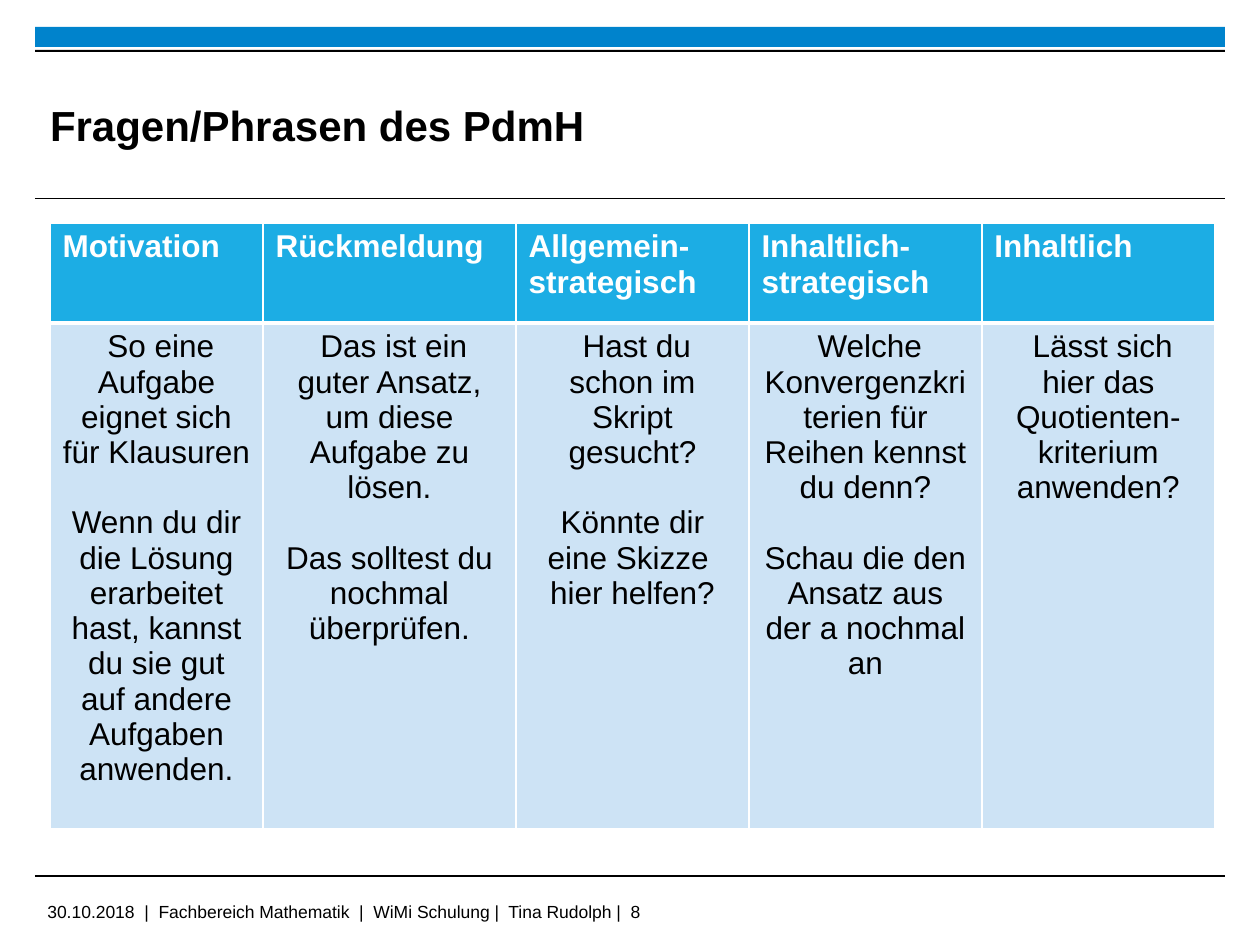
from lxml import etree
from pptx import Presentation, util as u
from pptx.dml.color import RGBColor
from pptx.enum import shapes, text
from pptx.oxml.ns import qn

SCALE = 914400 / 126
BLACK, WHITE, BLUE, HEADER, CELL = "000000", "FFFFFF", "0083CC", "1CADE4", "CDE3F5"
COLUMNS = [
    ("Motivation", 213, [
        " So eine Aufgabe eignet sich für Klausuren",
        "Wenn du dir die Lösung erarbeitet hast, kannst du sie gut auf andere "
        "Aufgaben anwenden."]),
    ("Rückmeldung", 253, [
        " Das ist ein guter Ansatz, um diese Aufgabe zu lösen.",
        "Das solltest du nochmal überprüfen."]),
    ("Allgemein-strategisch", 233, [
        " Hast du schon im Skript gesucht?",
        "Könnte dir eine Skizze  hier helfen?"]),
    ("Inhaltlich-strategisch", 233, [
        " Welche Konvergenzkriterien für Reihen kennst du denn?",
        "Schau die den Ansatz aus der a nochmal an"]),
    ("Inhaltlich", 233, [" Lässt sich hier das Quotienten-kriterium anwenden?"]),
]


def px(length):
    return u.Emu(round(length * SCALE))


def rgb(value):
    return RGBColor.from_string(value)


def apply(target, values):
    for name, value in values.items():
        setattr(target, name, value)


def write(frame, lines, size, color=BLACK, bold=False, para_format=None, gap=0):
    for index, line in enumerate(lines):
        para = frame.paragraphs[0] if index == 0 else frame.add_paragraph()
        apply(para, para_format or {})
        if index:
            para.space_before = u.Pt(gap)
        span = para.add_run()
        span.text = line
        apply(span.font, {"name": "Arial", "size": u.Pt(size), "bold": bold})
        span.font.color.rgb = rgb(color)


def add_text(page, box, line, size, bold=False, frame_format=None):
    frame = page.shapes.add_textbox(*map(px, box)).text_frame
    apply(frame, {"word_wrap": True, "vertical_anchor": text.MSO_ANCHOR.MIDDLE,
                  **(frame_format or {})})
    write(frame, [line], size, bold=bold)


def add_bar(page, box, color):
    bar = page.shapes.add_shape(shapes.MSO_SHAPE.RECTANGLE, *map(px, box))
    bar.shadow.inherit = False
    bar.fill.solid()
    bar.fill.fore_color.rgb = rgb(color)
    bar.line.fill.background()


def add_rule(page, left, top, width):
    rule = page.shapes.add_connector(shapes.MSO_CONNECTOR.STRAIGHT,
                                     px(left), px(top), px(left + width), px(top))
    rule.line.width = u.Pt(0.6)
    rule.line.color.rgb = rgb(BLACK)
    etree.SubElement(rule._element.spPr, qn("a:effectLst"))


def set_borders(cell, widths):
    props = cell._tc.get_or_add_tcPr()
    for index, (side, width) in enumerate(widths.items()):
        line = etree.Element(qn(f"a:ln{side}"), w=str(u.Pt(width)))
        fill = etree.SubElement(line, qn("a:solidFill"))
        etree.SubElement(fill, qn("a:srgbClr"), val=WHITE)
        props.insert(index, line)


def build_header(page, left, top, width):
    # Coloured band, title and rule below
    add_bar(page, (left, top, width, 20), BLUE)
    add_bar(page, (left, top + 23, width, 2), BLACK)
    margins = {f"margin_{side}": 0 for side in ("left", "top", "right", "bottom")}
    add_text(page, (left + 15, top + 40, 915, 116), "Fragen/Phrasen des PdmH", 24,
             True, margins)
    add_rule(page, left, top + 172, width)


def build_table(page, left, top, head_height, body_height):
    width = sum(column[1] for column in COLUMNS)
    table = page.shapes.add_table(2, len(COLUMNS), px(left), px(top), px(width),
                                  px(head_height + body_height)).table
    table.horz_banding = False
    for row, height in zip(table.rows, (head_height, body_height)):
        row.height = px(height)
    centred = {"alignment": text.PP_ALIGN.CENTER}
    for index, (heading, column_width, phrases) in enumerate(COLUMNS):
        table.columns[index].width = px(column_width)
        head, body = table.cell(0, index), table.cell(1, index)
        write(head.text_frame, [heading], 18, WHITE, True)
        write(body.text_frame, phrases, 18, para_format=centred, gap=20)
        for cell, color, above, below in ((head, HEADER, 1, 3), (body, CELL, 3, 1)):
            cell.fill.solid()
            cell.fill.fore_color.rgb = rgb(color)
            set_borders(cell, {"L": 1, "R": 1, "T": above, "B": below})


def build_footer(page, left, top, width):
    add_rule(page, left, top, width)
    add_text(page, (left, top + 19, 993, 32),
             "30.10.2018  |  Fachbereich Mathematik  |  WiMi Schulung |  "
             "Tina Rudolph |  8", 10)


deck = Presentation()
apply(deck, {"slide_width": px(1260), "slide_height": px(945)})
page = deck.slides.add_slide(deck.slide_layouts[6])
build_header(page, 35, 27, 1190)
build_table(page, 50, 223, 100, 506)
build_footer(page, 35, 876, 1190)
deck.save("out.pptx")
